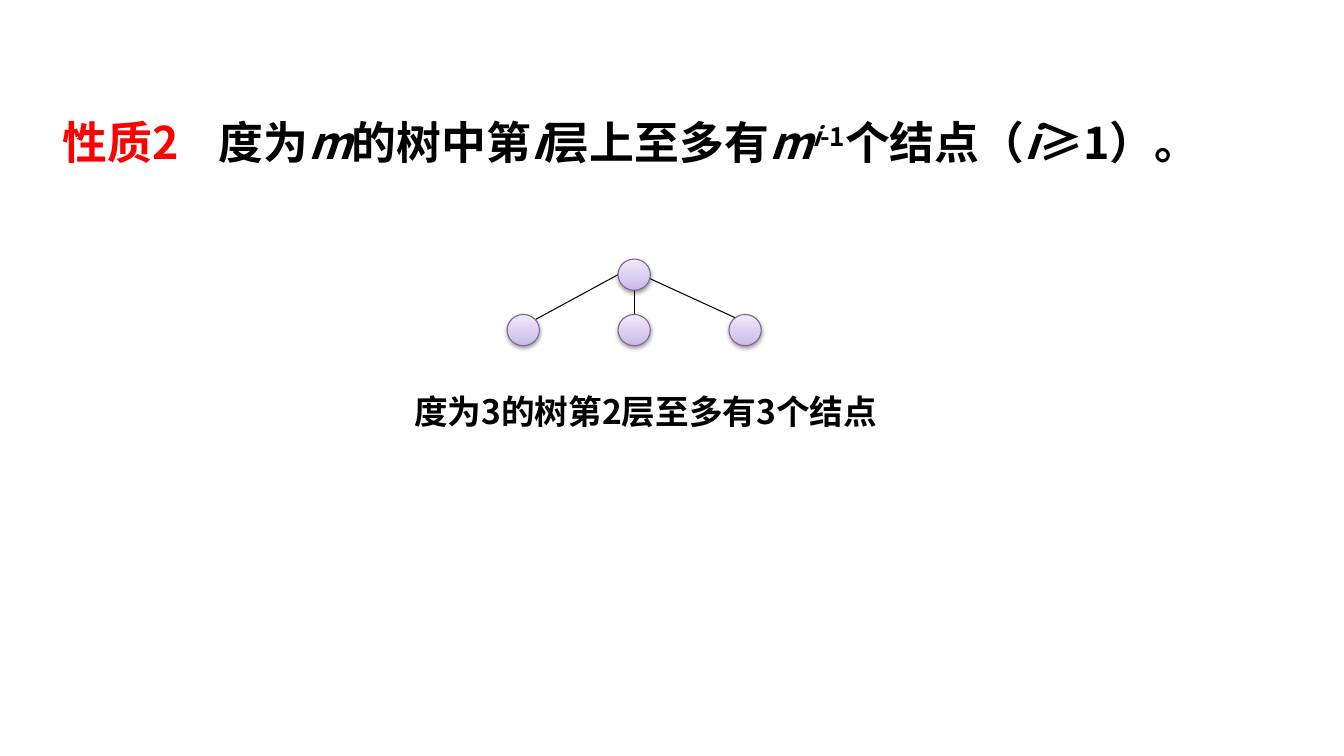
from dataclasses import dataclass

from lxml import etree
from pptx import Presentation
from pptx import util as u
from pptx.dml.color import RGBColor
from pptx.enum import shapes, text
from pptx.oxml.ns import qn


@dataclass(frozen=True)
class Theme:
    font: str = "Noto Sans CJK SC"
    ink: str = "000000"
    mark: str = "FF0000"
    rim: str = "7D60A0"
    stops: tuple = ((0, "C9B5E8"), (35, "D8CBEE"), (100, "F0EAF9"))
    head: int = 32
    note: int = 24
    thin: float = 0.75


T = Theme()


def rgb(code):
    return RGBColor.from_string(code)


def add(node, tag, **attrs):
    return etree.SubElement(node, qn(tag), {k: str(v) for k, v in attrs.items()})


def label(slide, box, size, runs, tab=None):
    """Text box of one line; each run is (words, colour, italic, raised)."""
    frame = slide.shapes.add_textbox(*map(u.Inches, box)).text_frame
    frame.word_wrap = True
    frame.auto_size = text.MSO_AUTO_SIZE.SHAPE_TO_FIT_TEXT
    para = frame.paragraphs[0]
    if tab:
        stops = add(para._p.get_or_add_pPr(), "a:tabLst")
        add(stops, "a:tab", pos=u.Inches(tab), algn="l")
    for words, color, slant, raised in runs:
        run = para.add_run()
        run.text = words
        font = run.font
        font.name, font.size, font.bold = T.font, u.Pt(size), True
        font.italic = slant
        font.color.rgb = rgb(color)
        add(font._element, "a:ea", typeface=T.font)
        if raised:
            font._element.set("baseline", "30000")
    return para


def claim(slide, box):
    """Headline: red tag, then the statement with italic variables."""
    parts = [("度为", 0, 0), ("m", 1, 0), ("的树中第", 0, 0), ("i", 1, 0),
             ("层上至多有", 0, 0), ("m", 1, 0), ("i", 1, 1), ("-1", 0, 1),
             ("个结点（", 0, 0), ("i", 1, 0), ("≥1）。", 0, 0)]
    runs = [("性质2\t", T.mark, False, False)]
    runs += [(words, T.ink, bool(slant), up) for words, slant, up in parts]
    para = label(slide, box, T.head, runs, tab=1.55)
    para.alignment = text.PP_ALIGN.JUSTIFY


def edge(slide, x1, y1, x2, y2):
    line = slide.shapes.add_connector(
        shapes.MSO_CONNECTOR.STRAIGHT, *map(u.Inches, (x1, y1, x2, y2)))
    line.line.color.rgb = rgb(T.ink)
    line.line.width = u.Pt(T.thin)
    add(line._element.spPr, "a:effectLst")


def node(slide, x, y, wide, high):
    dot = slide.shapes.add_shape(
        shapes.MSO_SHAPE.OVAL, *map(u.Inches, (x, y, wide, high)))
    dot.line.color.rgb = rgb(T.rim)
    dot.line.width = u.Pt(T.thin)
    # Gradient, lightest at the top
    dot.fill.gradient()
    dot.fill.gradient_angle = 90
    props = dot._element.spPr
    stops = props.find(".//" + qn("a:gsLst"))
    for old in list(stops):
        stops.remove(old)
    for share, color in T.stops:
        add(add(stops, "a:gs", pos=share * 1000), "a:srgbClr", val=color)
    # Soft shadow below
    dot.shadow.inherit = False
    shade = add(props.find(qn("a:effectLst")), "a:outerShdw", blurRad=u.Pt(3.1),
                dist=u.Pt(1.6), dir=5400000, rotWithShape=0)
    add(add(shade, "a:srgbClr", val=T.ink), "a:alpha", val=38000)


def tree(slide, box, leaves=3):
    """Root centred on top, leaves evenly spread along the bottom."""
    x, y, wide, high = box
    dw, dh = 0.32, 0.31
    step = (wide - dw) / (leaves - 1)
    lefts = [x + i * step for i in range(leaves)]
    root = x + (wide - dw) / 2
    low = y + high - dh
    # Edges lie behind the nodes: (start, end) as shares of a node
    ends = [((0, 0.5), 0.72), ((0.5, 0.77), 0.5), ((0.72, 0.5), 0.5)]
    for left, ((sx, sy), ex) in zip(lefts, ends):
        edge(slide, root + sx * dw, y + sy * dh, left + ex * dw, low + dh / 4)
    for left, top in [(root, y)] + [(left, low) for left in lefts]:
        node(slide, left, top, dw, dh)


def main():
    deck = Presentation()
    deck.slide_width, deck.slide_height = u.Inches(13.33), u.Inches(7.5)
    slide = deck.slides.add_slide(deck.slide_layouts[6])
    claim(slide, (0.52, 1.09, 12.39, 0.64))
    tree(slide, (5.03, 2.57, 2.52, 0.86))
    label(slide, (4.01, 3.83, 5.57, 0.5), T.note,
          [("度为3的树第2层至多有3个结点", T.ink, False, False)])
    deck.save("out.pptx")


if __name__ == "__main__":
    main()
